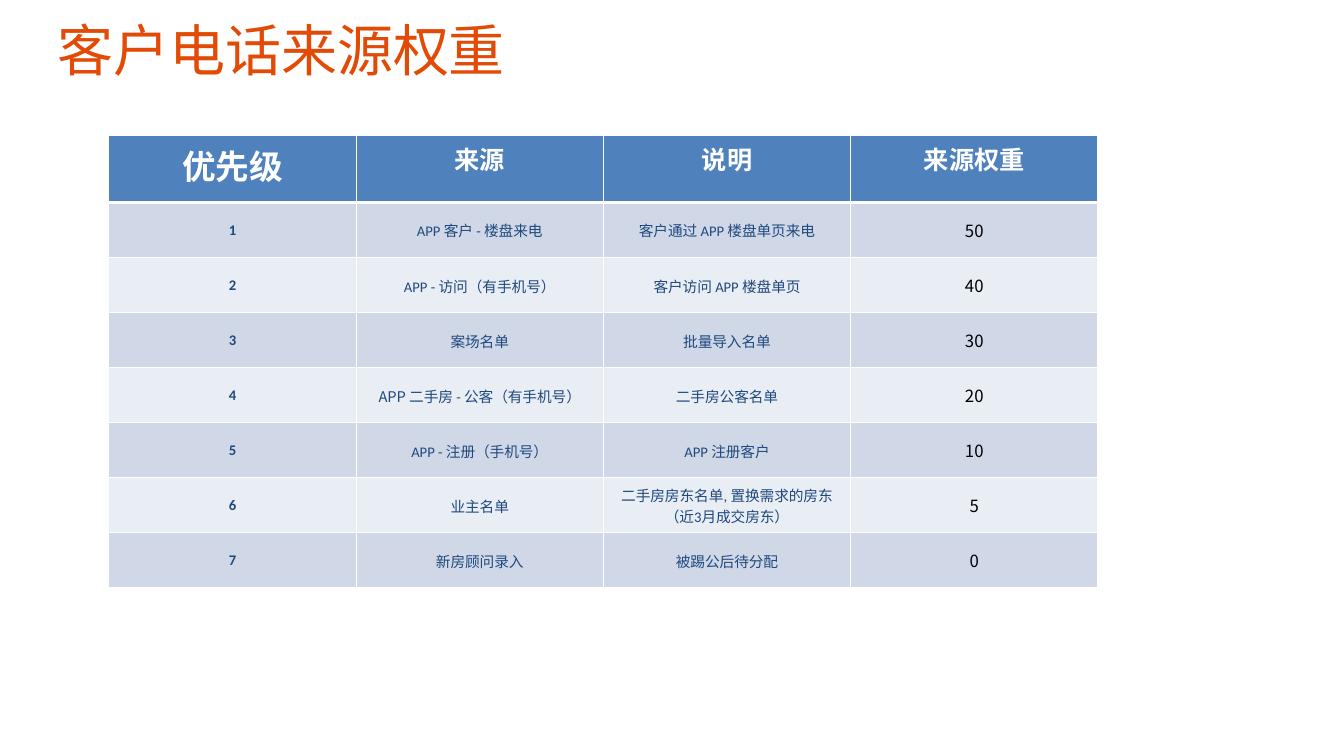
from lxml.etree import SubElement
from pptx import Presentation
from pptx.dml.color import RGBColor
from pptx.enum.text import MSO_ANCHOR, PP_ALIGN
from pptx.oxml.ns import qn
from pptx.util import Inches, Pt

LATIN, HAN = "Calibri", "Noto Sans CJK SC"
HEADS = ["优先级", "来源", "说明", "来源权重"]
# Pieces between bars alternate: Han font first, then Latin font
ROWS = [
    ("|APP 客户 - |楼盘来电", "客户通过 |APP |楼盘单页来电", "50"),
    ("|APP - 访问|（有手机号）", "客户访问 |APP |楼盘单页", "40"),
    ("案场名单", "批量导入名单", "30"),
    ("APP 二手房 |- |公客（有手机号）", "二手房公客名单", "20"),
    ("|APP - |注册（手机号）", "|APP |注册客户", "10"),
    ("业主名单", "二手房房东名单|, 置换需求的房东\n（近|3|月成交房东）", "5"),
    ("新房顾问录入", "被踢公后待分配", "0"),
]


def color(code):
    return RGBColor.from_string(code)


def style(run, size, tint, face, bold=False):
    font = run.font
    font.size, font.name, font.bold = Pt(size), face, bold
    font.color.rgb = color(tint)
    SubElement(run._r.get_or_add_rPr(), qn("a:ea"), typeface=HAN)


def write(frame, text, size, tint, bold=False, align=PP_ALIGN.CENTER):
    for i, line in enumerate(text.split("\n")):
        para = frame.add_paragraph() if i else frame.paragraphs[0]
        para.alignment = align
        for j, piece in enumerate(line.split("|")):
            if piece:
                run = para.add_run()
                run.text = piece
                style(run, size, tint, LATIN if j % 2 else HAN, bold)


def border(cell, base):
    props = cell._tc.get_or_add_tcPr()
    sides = [("lnL", 1), ("lnR", 1), ("lnT", 1), ("lnB", base)]
    for spot, (side, width) in enumerate(sides):
        line = SubElement(props, qn(f"a:{side}"), w=str(Pt(width)))
        fill = SubElement(line, qn("a:solidFill"))
        SubElement(fill, qn("a:srgbClr"), val="FFFFFF")
        props.insert(spot, line)


def paint(cell, tint, base=1):
    cell.fill.solid()
    cell.fill.fore_color.rgb = color(tint)
    border(cell, base)


def title(slide, left, top, width, height):
    box = slide.shapes.add_textbox(
        Inches(left), Inches(top), Inches(width), Inches(height))
    frame = box.text_frame
    frame.word_wrap = True
    write(frame, "客户电话来源权重", 40, "E24A05", align=PP_ALIGN.LEFT)
    frame.paragraphs[0].line_spacing = 0.9


def grid(slide, left, top, width, height):
    head = 0.67
    table = slide.shapes.add_table(
        len(ROWS) + 1, len(HEADS), Inches(left), Inches(top),
        Inches(width), Inches(height)).table
    for col in table.columns:
        col.width = Inches(width / len(HEADS))
    for row in table.rows:
        row.height = Inches((height - head) / len(ROWS))
    table.rows[0].height = Inches(head)

    # Header row
    for c, text in enumerate(HEADS):
        cell = table.cell(0, c)
        paint(cell, "4F81BD", 3)
        write(cell.text_frame, "|" + text, 18 if c else 24, "FFFFFF", True)

    # Banded body: rank, source, note, weight
    for r, (source, note, weight) in enumerate(ROWS, 1):
        for c, text in enumerate([f"|{r}", source, note, weight]):
            cell = table.cell(r, c)
            paint(cell, "D0D8E8" if r % 2 else "E9EDF4")
            cell.vertical_anchor = MSO_ANCHOR.MIDDLE
            cell.margin_left = cell.margin_right = Inches(0.07)
            cell.margin_top, cell.margin_bottom = Inches(0.01), 0
            last = c == len(HEADS) - 1
            write(cell.text_frame, text, 12 if last else 10.5,
                  "000000" if last else "1F497D", c == 0)


def main():
    deck = Presentation()
    deck.slide_width, deck.slide_height = Inches(13.33), Inches(7.5)
    slide = deck.slides.add_slide(deck.slide_layouts[6])
    title(slide, 0.47, 0.18, 11.33, 0.94)
    grid(slide, 1.08, 1.34, 9.81, 4.49)
    deck.save("out.pptx")


if __name__ == "__main__":
    main()
